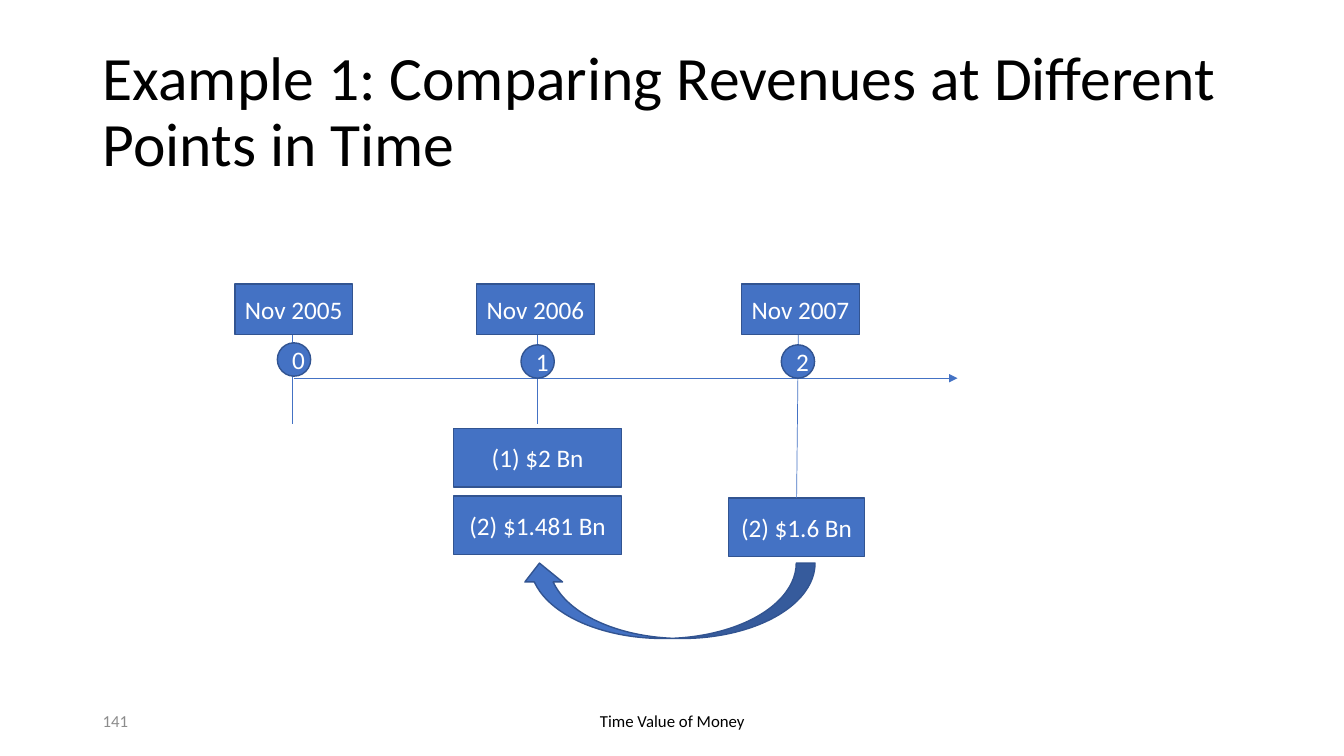
from lxml import etree
from pptx import Presentation, util as u
from pptx.dml.color import RGBColor
from pptx.enum import shapes, text
from pptx.oxml.ns import qn

FONT = "Calibri"
BLUE, DARK_BLUE = "4472C4", "325491"
WHITE, BLACK, GREY = "FFFFFF", "000000", "8C8C8C"
LEFT, CENTER = text.PP_ALIGN.LEFT, text.PP_ALIGN.CENTER
RECTANGLE = shapes.MSO_SHAPE.RECTANGLE
OVAL = shapes.MSO_SHAPE.OVAL

AXIS_Y = 9.53
TICK_TOP, TICK_BOTTOM = 8.36, 10.69
DATE_TOP, DATE_WIDTH, DATE_HEIGHT = 7.16, 2.97, 1.27
CIRCLE_SIZE = 0.84
AMOUNT_HEIGHT = 1.47

# Number, date, tick x, date left, circle left, circle top
PERIODS = [
    ("0", "Nov 2005", 7.37, 5.92, 6.99, 8.64),
    ("1", "Nov 2006", 13.54, 12.01, 13.13, 8.69),
    ("2", "Nov 2007", 20.12, 18.69, 19.69, 8.69),
]


def color(hex_value):
    return RGBColor.from_string(hex_value)


def lengths(*values):
    return [u.Cm(value) for value in values]


def write(shape, words, size, hex_value, alignment):
    frame = shape.text_frame
    frame.word_wrap = True
    frame.vertical_anchor = text.MSO_ANCHOR.MIDDLE
    frame.text = words
    paragraph = frame.paragraphs[0]
    paragraph.alignment = alignment
    font = paragraph.runs[0].font
    font.name, font.size = FONT, u.Pt(size)
    font.color.rgb = color(hex_value)
    return paragraph


def add_label(slide, box, words, size, hex_value, alignment=LEFT):
    return write(slide.shapes.add_textbox(*lengths(*box)), words, size, hex_value, alignment)


def add_block(slide, kind, box, words=""):
    shape = slide.shapes.add_shape(kind, *lengths(*box))
    shape.shadow.inherit = False
    shape.fill.solid()
    shape.fill.fore_color.rgb = color(BLUE)
    shape.line.color.rgb = color(DARK_BLUE)
    shape.line.width = u.Pt(1)
    if words:
        write(shape, words, 18, WHITE, CENTER)
    return shape


def add_line(slide, start, end, arrow=False):
    line = slide.shapes.add_connector(
        shapes.MSO_CONNECTOR.STRAIGHT, *lengths(*start, *end))
    line.line.color.rgb = color(BLUE)
    line.line.width = u.Pt(0.5)
    if arrow:
        etree.SubElement(line.line._get_or_add_ln(), qn("a:tailEnd"), type="triangle")
    etree.SubElement(line._element.spPr, qn("a:effectLst"))
    return line


def main():
    presentation = Presentation()
    presentation.slide_width, presentation.slide_height = lengths(33.87, 19.05)
    slide = presentation.slides.add_slide(presentation.slide_layouts[6])

    # Title and footer
    title = add_label(slide, (2.34, 1.02, 29.21, 3.68),
                      "Example 1: Comparing Revenues at Different Points in Time", 44, BLACK)
    title.line_spacing = 0.9
    add_label(slide, (2.34, 17.65, 7.62, 1.02), "141", 12, GREY)
    add_label(slide, (11.23, 17.65, 11.43, 1.02), "Time Value of Money", 12, BLACK, CENTER)

    # Revenue amounts
    add_block(slide, RECTANGLE, (11.43, 10.8, 4.24, AMOUNT_HEIGHT), "(1) $2 Bn")
    add_block(slide, RECTANGLE, (11.43, 12.5, 4.24, AMOUNT_HEIGHT), "(2) $1.481 Bn")
    later_amount = add_block(slide, RECTANGLE, (18.36, 12.55, 3.43, AMOUNT_HEIGHT), "(2) $1.6 Bn")

    # Time axis and ticks, the last one reaching the later amount
    add_line(slide, (7.42, AXIS_Y), (24.13, AXIS_Y), arrow=True)
    ticks = [add_line(slide, (x, TICK_TOP), (x, TICK_BOTTOM)) for _, _, x, *_ in PERIODS]
    ticks[-1].end_connect(later_amount, 0)

    # Dates and period numbers
    for number, date, _, date_left, circle_left, circle_top in PERIODS:
        add_block(slide, RECTANGLE, (date_left, DATE_TOP, DATE_WIDTH, DATE_HEIGHT), date)
        add_block(slide, OVAL, (circle_left, circle_top, CIRCLE_SIZE, CIRCLE_SIZE), number)

    # Discounting arrow
    arrow = add_block(slide, shapes.MSO_SHAPE.CURVED_LEFT_ARROW, (15.88, 11.43, 1.9, 7.42))
    arrow.rotation = 90

    presentation.save("out.pptx")


if __name__ == "__main__":
    main()
